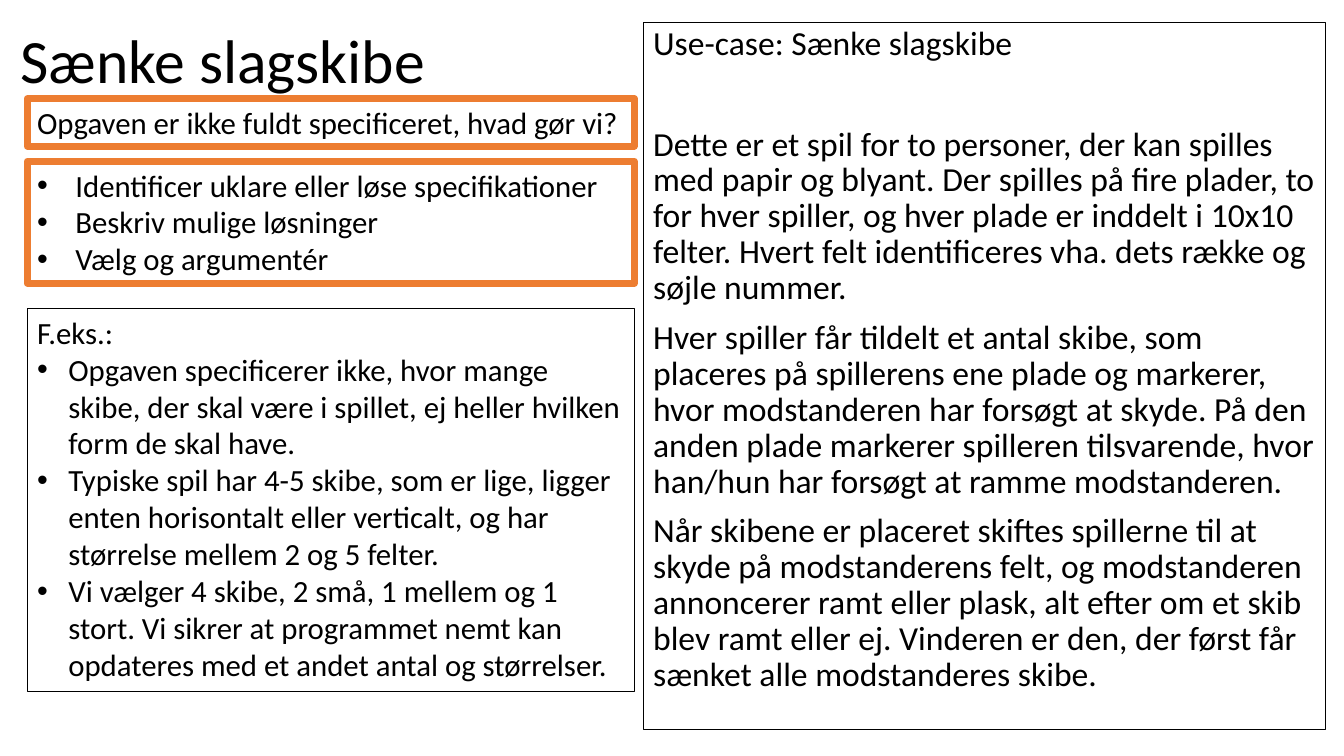
from dataclasses import dataclass

from lxml import etree
from pptx import Presentation
from pptx.dml.color import RGBColor
from pptx.enum import text
from pptx.oxml import ns
from pptx.util import Inches, Pt

COLORS = {"text": "000000", "border": "000000", "accent": "ED7D31"}
FONT = "Calibri"


@dataclass
class Para:
    words: str
    bulleted: bool = False
    space_before: float = 0


@dataclass
class Box:
    left: float
    top: float
    width: float
    height: float
    paras: list[Para]
    border: str = "border"
    border_pt: float = 0.75
    size: float = 22
    line_spacing: float = 1.0
    indent: float = 0.31
    wrap: bool = True


LEFT, WIDTH = 0.27, 6.02

BOXES = [
    Box(LEFT, 1.6, WIDTH, 1.21, [
        Para("Identificer uklare eller løse specifikationer", True),
        Para("Beskriv mulige løsninger", True),
        Para("Vælg og argumentér", True),
    ], border="accent", border_pt=5, indent=0.38),
    Box(LEFT, 3.06, WIDTH, 3.8, [
        Para("F.eks.:"),
        Para("Opgaven specificerer ikke, hvor mange skibe, der skal være i spillet, "
             "ej heller hvilken form de skal have.", True),
        Para("Typiske spil har 4-5 skibe, som er lige, ligger enten horisontalt eller "
             "verticalt, og har størrelse mellem 2 og 5 felter.", True),
        Para("Vi vælger 4 skibe, 2 små, 1 mellem og 1 stort. Vi sikrer at programmet "
             "nemt kan opdateres med et andet antal og størrelser.", True),
    ]),
    Box(6.38, 0.22, 6.77, 7.02, [
        Para("Use-case: Sænke slagskibe"),
        Para("Dette er et spil for to personer, der kan spilles med papir og blyant. "
             "Der spilles på fire plader, to for hver spiller, og hver plade er inddelt "
             "i 10x10 felter. Hvert felt identificeres vha. dets række og søjle nummer.",
             space_before=46),
        Para("Hver spiller får tildelt et antal skibe, som placeres på spillerens ene "
             "plade og markerer, hvor modstanderen har forsøgt at skyde. På den anden "
             "plade markerer spilleren tilsvarende, hvor han/hun har forsøgt at ramme "
             "modstanderen.", space_before=10),
        Para("Når skibene er placeret skiftes spillerne til at skyde på modstanderens "
             "felt, og modstanderen annoncerer ramt eller plask, alt efter om et skib "
             "blev ramt eller ej. Vinderen er den, der først får sænket alle "
             "modstanderes skibe.", space_before=10),
    ], size=24, line_spacing=0.89),
    Box(LEFT, 0.98, WIDTH, 0.47, [
        Para("Opgaven er ikke fuldt specificeret, hvad gør vi?"),
    ], border="accent", border_pt=5, wrap=False),
]


def rgb(name: str) -> RGBColor:
    return RGBColor.from_string(COLORS[name])


def style_font(p, size: float) -> None:
    p.alignment = text.PP_ALIGN.LEFT
    p.font.name = FONT
    p.font.size = Pt(size)
    p.font.color.rgb = rgb("text")


def add_bullet(p, indent: float) -> None:
    pPr = p._p.get_or_add_pPr()
    pPr.set("marL", str(Inches(indent)))
    pPr.set("indent", str(-Inches(indent)))
    bullet_font = etree.Element(ns.qn("a:buFont"), typeface="Arial")
    bullet = etree.Element(ns.qn("a:buChar"), char="•")
    pPr.insert_element_before(bullet_font, "a:tabLst", "a:defRPr", "a:extLst")
    pPr.insert_element_before(bullet, "a:tabLst", "a:defRPr", "a:extLst")


def add_box(slide, box: Box) -> None:
    sp = slide.shapes.add_textbox(Inches(box.left), Inches(box.top),
                                  Inches(box.width), Inches(box.height))
    sp.line.color.rgb = rgb(box.border)
    sp.line.width = Pt(box.border_pt)
    tf = sp.text_frame
    tf.word_wrap = box.wrap
    for i, para in enumerate(box.paras):
        p = tf.add_paragraph() if i else tf.paragraphs[0]
        p.text = para.words
        p.line_spacing = box.line_spacing
        p.space_before = Pt(para.space_before)
        style_font(p, box.size)
        if para.bulleted:
            add_bullet(p, box.indent)


def add_title(slide, words: str) -> None:
    sp = slide.shapes.title
    sp.left, sp.top = Inches(0.1), Inches(0.04)
    sp.width, sp.height = Inches(6.2), Inches(1.19)
    tf = sp.text_frame
    tf.text = words
    tf.vertical_anchor = text.MSO_ANCHOR.MIDDLE
    p = tf.paragraphs[0]
    p.line_spacing = 0.9
    style_font(p, 44)


def main() -> None:
    prs = Presentation()
    prs.slide_width, prs.slide_height = Inches(13.33), Inches(7.5)
    slide = prs.slides.add_slide(prs.slide_layouts[5])
    add_title(slide, "Sænke slagskibe")
    for box in BOXES:
        add_box(slide, box)
    prs.save("out.pptx")


if __name__ == "__main__":
    main()
